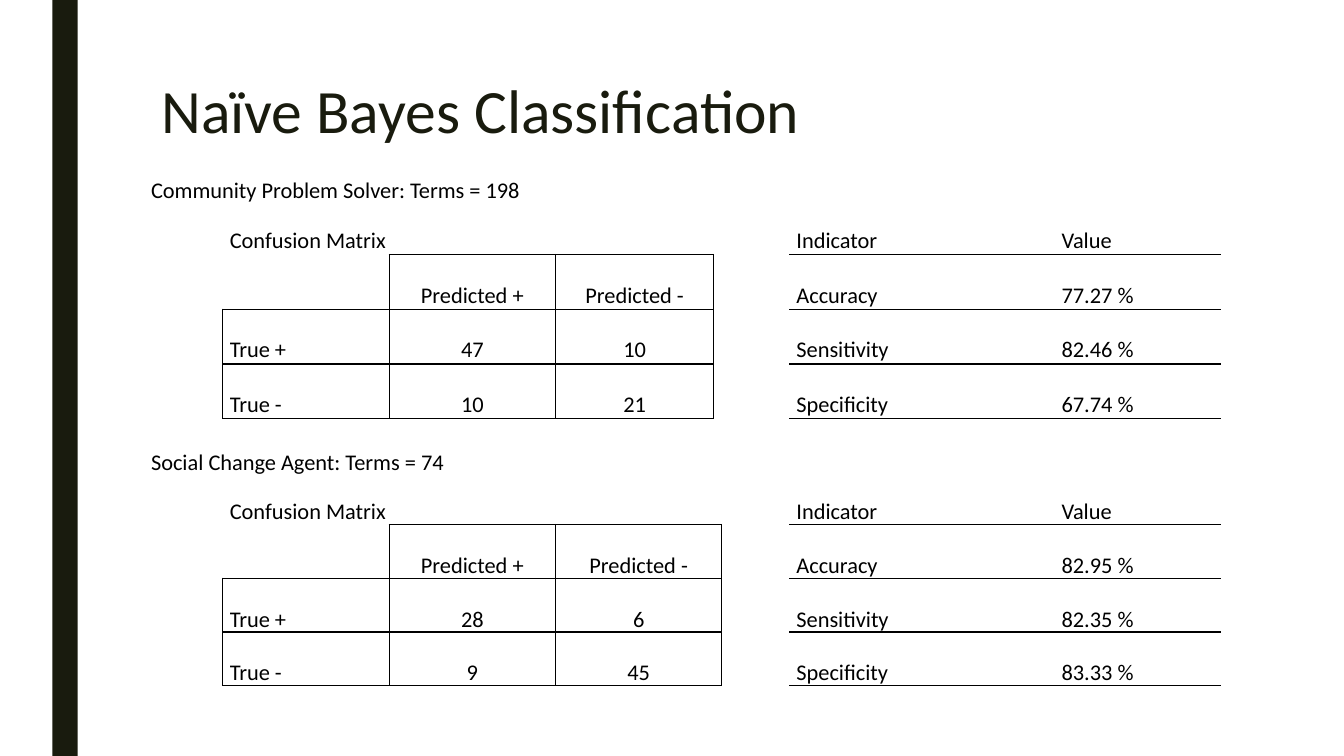
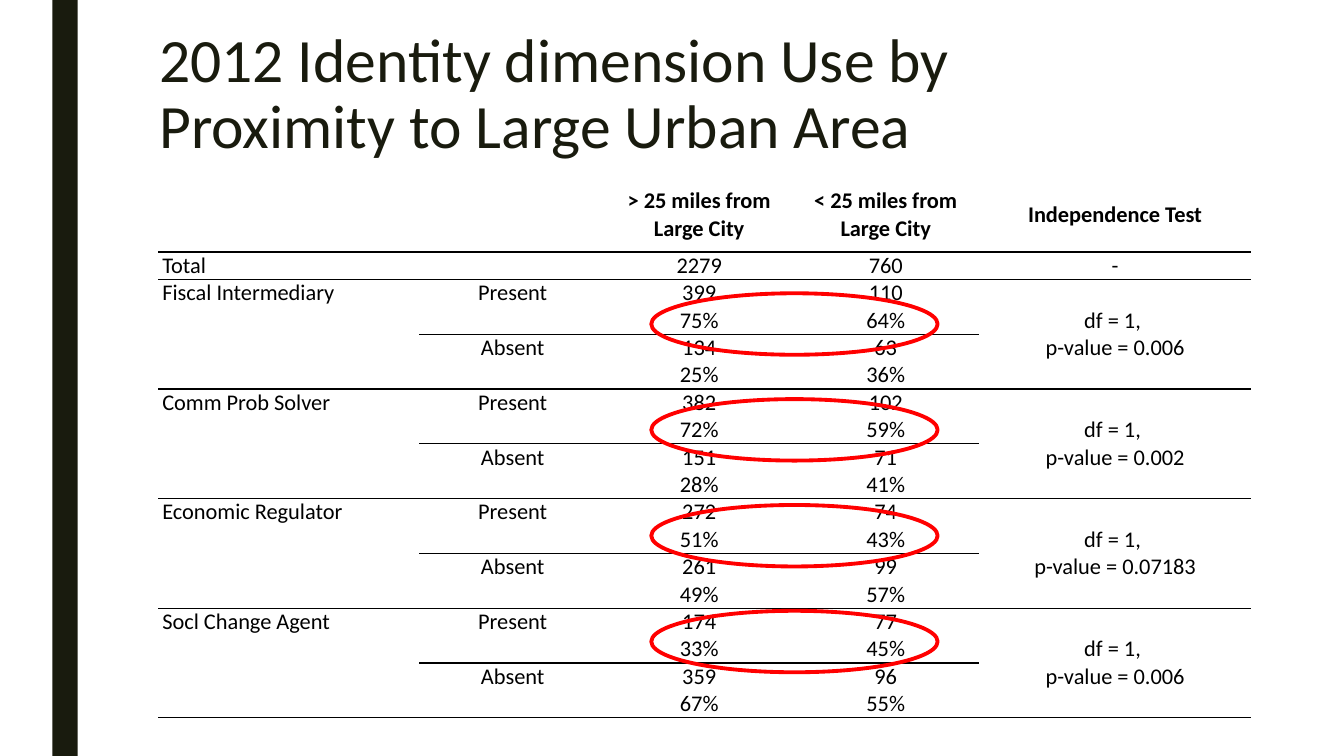
from dataclasses import dataclass

import pptx
import pptx.dml.color
import pptx.enum.shapes
import pptx.enum.text
import pptx.oxml
import pptx.oxml.ns
import pptx.presentation
import pptx.slide
import pptx.table
import pptx.text.text
import pptx.util
from pptx.util import Inches

DARK = pptx.dml.color.RGBColor(0x19, 0x1B, 0x0E)
BLACK = pptx.dml.color.RGBColor(0, 0, 0)
RED = pptx.dml.color.RGBColor(0xFF, 0, 0)
FONT = "Calibri"
TITLE_PT, BODY_PT = 44, 16
NO_STYLE = "{2D5ABB26-0587-4C30-8999-92F81FD0307C}"
LEFT, CENTER = pptx.enum.text.PP_ALIGN.LEFT, pptx.enum.text.PP_ALIGN.CENTER
TOP, MIDDLE = pptx.enum.text.MSO_ANCHOR.TOP, pptx.enum.text.MSO_ANCHOR.MIDDLE
SHAPE = pptx.enum.shapes.MSO_SHAPE


@dataclass(frozen=True)
class Result:
    heading: str
    top: float
    widths: tuple[float, ...]
    counts: tuple[tuple[str, str], tuple[str, str]]
    rates: tuple[str, str, str]


@dataclass(frozen=True)
class Dimension:
    name: str
    present: tuple[str, str]
    absent: tuple[str, str]
    p_value: str


@dataclass(frozen=True)
class CellStyle:
    lines: str = ""
    align: pptx.enum.text.PP_ALIGN = CENTER
    anchor: pptx.enum.text.MSO_ANCHOR = MIDDLE
    inset: float = 0.04
    spacing: float = 1.0
    bold: bool = False


RESULTS = (
    Result("Community Problem Solver: Terms = 198", 1.98,
           (1.65, 1.65, 1.57, 0.75, 2.63, 1.65),
           (("47", "10"), ("10", "21")), ("77.27 %", "82.46 %", "67.74 %")),
    Result("Social Change Agent: Terms = 74", 4.67,
           (1.65, 1.65, 1.65, 0.67, 2.63, 1.65),
           (("28", "6"), ("9", "45")), ("82.95 %", "82.35 %", "83.33 %")),
)
DIMENSIONS = (
    Dimension("Fiscal Intermediary", ("399\n75%", "110\n64%"),
              ("134\n25%", "63\n36%"), "0.006"),
    Dimension("Comm Prob Solver", ("382\n72%", "102\n59%"),
              ("151\n28%", "71\n41%"), "0.002"),
    Dimension("Economic Regulator", ("272\n51%", "74\n43%"),
              ("261\n49%", "99\n57%"), "0.07183"),
    Dimension("Socl Change Agent", ("174\n33%", "77\n45%"),
              ("359\n67%", "96\n55%"), "0.006"),
)


def format_text(tf: pptx.text.text.TextFrame, size: float,
                color: pptx.dml.color.RGBColor, align: pptx.enum.text.PP_ALIGN = LEFT,
                spacing: float = 1.0, bold: bool = False) -> None:
    for p in tf.paragraphs:
        p.alignment = align
        p.line_spacing = spacing
        for r in p.runs:
            r.font.name = FONT
            r.font.size = pptx.util.Pt(size)
            r.font.bold = bold
            r.font.color.rgb = color


def add_band(s: pptx.slide.Slide) -> None:
    band = s.shapes.add_shape(SHAPE.RECTANGLE, Inches(0.52), 0, Inches(0.25), Inches(7.5))
    band.shadow.inherit = False
    band.fill.solid()
    band.fill.fore_color.rgb = DARK
    band.line.fill.background()
    s.slide_layout.shapes.element.insert(2, band.element)


def add_titled_slide(prs: pptx.presentation.Presentation, title: str,
                     left: float, top: float) -> pptx.slide.Slide:
    s = prs.slides.add_slide(prs.slide_layouts[5])
    sp = s.shapes.title
    sp.left, sp.top = Inches(left), Inches(top)
    sp.width, sp.height = Inches(10.5), Inches(1.62)
    tf = sp.text_frame
    tf.text = title
    tf.word_wrap = True
    tf.auto_size = pptx.enum.text.MSO_AUTO_SIZE.NONE
    tf.vertical_anchor = TOP
    format_text(tf, TITLE_PT, DARK, spacing=0.89)
    return s


def add_grid(s: pptx.slide.Slide, left: float, top: float, widths: tuple[float, ...],
             heights: tuple[float, ...]) -> pptx.table.Table:
    frame = s.shapes.add_table(len(heights), len(widths), Inches(left), Inches(top),
                               Inches(sum(widths)), Inches(sum(heights)))
    frame.element.find(".//" + pptx.oxml.ns.qn("a:tableStyleId")).text = NO_STYLE
    table = frame.table
    table.first_row = table.horz_banding = False
    for column, width in zip(table.columns, widths):
        column.width = Inches(width)
    for row, height in zip(table.rows, heights):
        row.height = Inches(height)
    return table


def fill_cell(table: pptx.table.Table, row: int, col: int, text: str,
              style: CellStyle) -> None:
    cell = table.cell(row, col)
    cell.margin_left = cell.margin_right = Inches(style.inset)
    cell.margin_top = cell.margin_bottom = 0
    cell.vertical_anchor = style.anchor
    cell.text_frame.text = text
    format_text(cell.text_frame, BODY_PT, BLACK, style.align, style.spacing, style.bold)
    props = cell._tc.get_or_add_tcPr()
    for side in "LRTB":
        paint = (f'<a:solidFill><a:srgbClr val="{BLACK}"/></a:solidFill>'
                 if side in style.lines else "<a:noFill/>")
        props.append(pptx.oxml.parse_xml(
            f'<a:ln{side} {pptx.oxml.ns.nsdecls("a")} w="12700">{paint}</a:ln{side}>'))
    cell.fill.background()


def result_lines(row: int, col: int) -> str:
    if col >= 4:
        return "TB" if row else "B"
    if row == 0:
        return "B" if col == 2 else ""
    if col == 3:
        return "L"
    return "RB" if (row, col) == (1, 0) else "LRTB"


def add_result(s: pptx.slide.Slide, result: Result) -> None:
    (tp, fn), (fp, tn) = result.counts
    accuracy, sensitivity, specificity = result.rates
    rows = (
        ("Confusion Matrix", "", "", "", "Indicator", "Value"),
        ("", "Predicted +", "Predicted -", "", "Accuracy", accuracy),
        ("True +", tp, fn, "", "Sensitivity", sensitivity),
        ("True -", fp, tn, "", "Specificity", specificity),
    )
    table = add_grid(s, 2.21, result.top, result.widths, (0.53,) * len(rows))
    table.cell(0, 0).merge(table.cell(0, 1))
    for i, texts in enumerate(rows):
        for j, text in enumerate(texts):
            fill_cell(table, i, j, text, CellStyle(
                result_lines(i, j), CENTER if j in (1, 2) else LEFT,
                inset=0.07, spacing=2.0))
    box = s.shapes.add_textbox(Inches(1.4), Inches(result.top - 0.28),
                               Inches(10.7), Inches(0.37))
    tf = box.text_frame
    tf.word_wrap = True
    tf.vertical_anchor = MIDDLE
    tf.text = result.heading
    format_text(tf, BODY_PT, BLACK)


def add_proximity_table(s: pptx.slide.Slide) -> None:
    rows = [
        ("", "", "> 25 miles from Large City", "< 25 miles from Large City",
         "Independence Test"),
        ("Total", "", "2279", "760", "-"),
    ]
    for d in DIMENSIONS:
        rows.append((d.name, "Present", *d.present, f"df = 1, \np-value = {d.p_value}"))
        rows.append(("", "Absent", *d.absent, ""))
    table = add_grid(s, 1.57, 1.76, (2.59, 1.85, 1.85, 1.85, 2.7),
                     (0.74, 0.25) + (0.5,) * (2 * len(DIMENSIONS)))
    table.cell(1, 0).merge(table.cell(1, 1))
    for i in range(2, len(rows), 2):
        for j in (0, 4):
            table.cell(i, j).merge(table.cell(i + 1, j))
    for i, texts in enumerate(rows):
        for j, text in enumerate(texts):
            spanned = table.cell(i, j).is_spanned
            fill_cell(table, i, j, text, CellStyle(
                "B" if i == 0 or spanned else "TB",
                LEFT if j == 0 else CENTER,
                TOP if i > 1 and j < 2 else MIDDLE,
                bold=i == 0))


def add_highlight(s: pptx.slide.Slide, top: float) -> None:
    sp = s.shapes.add_shape(SHAPE.OVAL, Inches(6.46), Inches(top), Inches(2.84), Inches(0.61))
    sp.shadow.inherit = False
    sp.fill.background()
    sp.line.color.rgb = RED
    sp.line.width = pptx.util.Pt(2.75)


def main() -> None:
    prs = pptx.Presentation()
    prs.slide_width, prs.slide_height = Inches(13.33), Inches(7.5)

    s = add_titled_slide(prs, "Naïve Bayes Classification", 1.5, 0.75)
    add_band(s)
    for result in RESULTS:
        add_result(s, result)

    s = add_titled_slide(
        prs, "2012 Identity dimension Use by Proximity to Large Urban Area", 1.48, 0.25)
    add_proximity_table(s)
    for i in range(len(DIMENSIONS)):
        add_highlight(s, 2.91 + 1.05 * i)

    prs.save("out.pptx")


if __name__ == "__main__":
    main()
